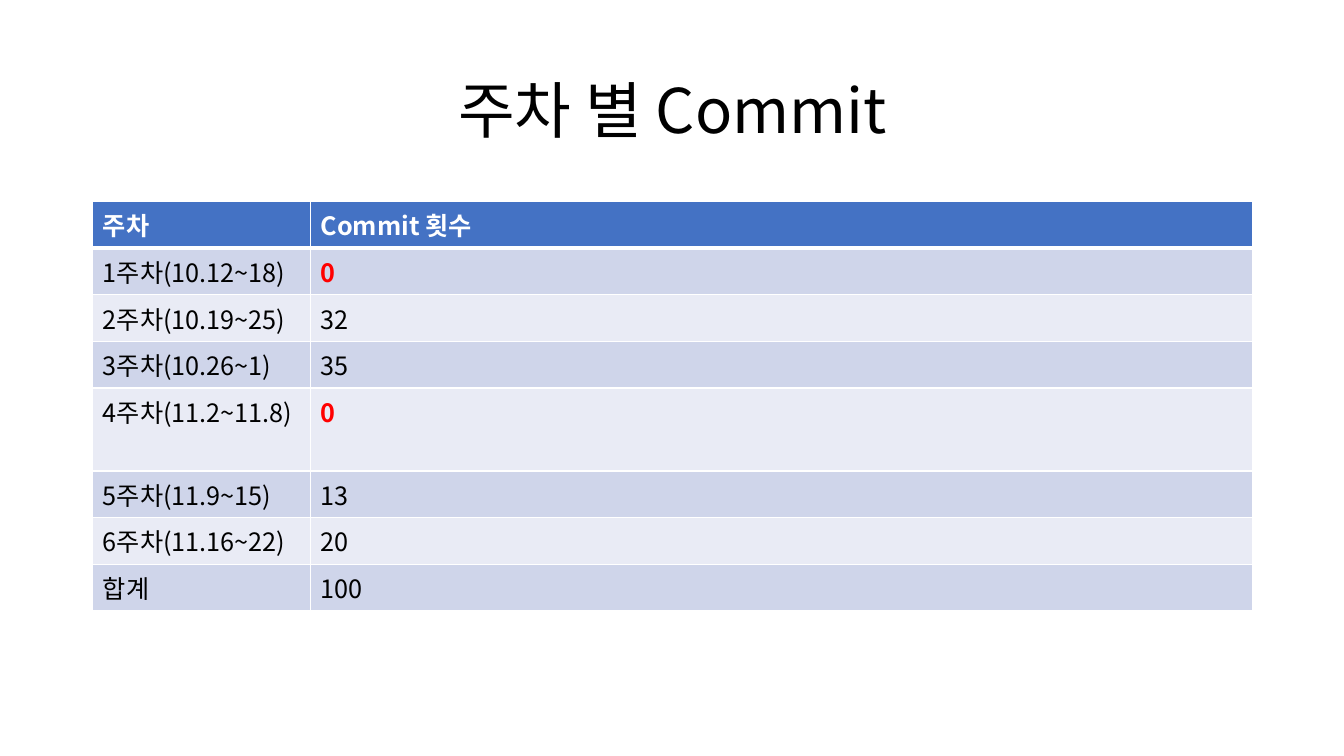
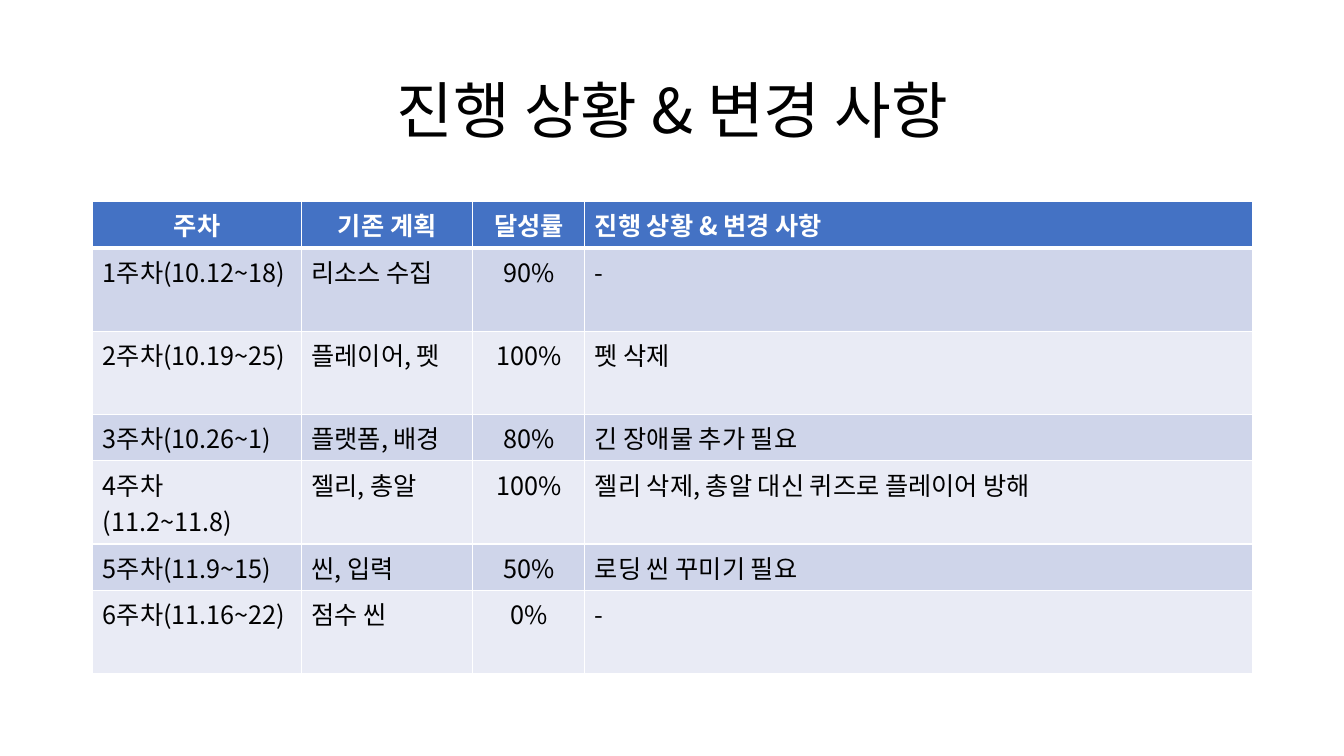
from dataclasses import dataclass

from lxml import etree
from pptx import Presentation
from pptx.dml.color import RGBColor
from pptx.enum import text as t
from pptx.oxml import ns
from pptx.util import Inches, Pt

SIDE, MID = t.PP_ALIGN.LEFT, t.PP_ALIGN.CENTER


@dataclass(frozen=True)
class Theme:
    font: str = "Noto Sans CJK KR"
    ink: str = "000000"
    white: str = "FFFFFF"
    alert: str = "FF0000"
    head: str = "4472C4"
    bands: tuple = ("CFD5EA", "E9EBF5")
    title: int = 44
    body: int = 18
    rule: int = 1
    thick: int = 3


THEME = Theme()
LEFT, WIDTH, TOP, ROW = 0.92, 11.5, 2, 0.41

WEEKS = ["1주차(10.12~18)", "2주차(10.19~25)", "3주차(10.26~1)",
         "4주차(11.2~11.8)", "5주차(11.9~15)", "6주차(11.16~22)"]
COUNTS = ["0", "32", "35", "0", "13", "20"]
PLANS = [
    ("리소스 수집", "90%", "-"),
    ("플레이어, 펫", "100%", "펫 삭제"),
    ("플랫폼, 배경", "80%", "긴 장애물 추가 필요"),
    ("젤리, 총알", "100%", "젤리 삭제, 총알 대신 퀴즈로 플레이어 방해"),
    ("씬, 입력", "50%", "로딩 씬 꾸미기 필요"),
    ("점수 씬", "0%", "-"),
]

SLIDES = [
    {
        "title": "주차 별 Commit",
        "cols": [2.16, 9.34],
        "head": ["주차", "Commit 횟수"],
        "rows": [*zip(WEEKS, COUNTS), ("합계", "100")],
        "head_align": [SIDE, SIDE],
        "align": [SIDE, SIDE],
    },
    {
        "title": "진행 상황 & 변경 사항",
        "cols": [2.07, 1.7, 1.11, 6.62],
        "head": ["주차", "기존 계획", "달성률", "진행 상황 & 변경 사항"],
        "rows": [(week, *plan) for week, plan in zip(WEEKS, PLANS)],
        "head_align": [MID, MID, MID, SIDE],
        "align": [SIDE, SIDE, MID, SIDE],
    },
]


def style(para, size, color, align, bold=False):
    para.alignment = align
    font = para.font
    font.size, font.bold, font.name = Pt(size), bold, THEME.font
    font.color.rgb = RGBColor.from_string(color)
    # East Asian text needs its own typeface entry.
    props = para._p.pPr.find(ns.qn("a:defRPr"))
    etree.SubElement(props, ns.qn("a:ea"), typeface=THEME.font)


def border(cell, top, bottom):
    props = cell._tc.get_or_add_tcPr()
    sides = {"L": THEME.rule, "R": THEME.rule, "T": top, "B": bottom}
    for spot, (side, width) in enumerate(sides.items()):
        line = etree.Element(ns.qn(f"a:ln{side}"), w=str(Pt(width)))
        fill = etree.SubElement(line, ns.qn("a:solidFill"))
        etree.SubElement(fill, ns.qn("a:srgbClr"), val=THEME.white)
        props.insert(spot, line)


def add_title(slide, label):
    title = slide.shapes.title
    title.left, title.top = Inches(LEFT), Inches(0.4)
    title.width, title.height = Inches(WIDTH), Inches(1.45)
    frame = title.text_frame
    frame.text = label
    frame.auto_size = t.MSO_AUTO_SIZE.NONE
    frame.vertical_anchor = t.MSO_ANCHOR.MIDDLE
    para = frame.paragraphs[0]
    para.line_spacing = 0.9
    style(para, THEME.title, THEME.ink, MID)


def add_grid(slide, data):
    rows = [data["head"], *data["rows"]]
    table = slide.shapes.add_table(
        len(rows), len(data["cols"]), Inches(LEFT), Inches(TOP),
        Inches(WIDTH), Inches(ROW * len(rows))).table
    for col, width in zip(table.columns, data["cols"]):
        col.width = Inches(width)
    for r, row in enumerate(rows):
        table.rows[r].height = Inches(ROW)
        head = r == 0
        aligns = data["head_align" if head else "align"]
        for c, (label, align) in enumerate(zip(row, aligns)):
            cell = table.cell(r, c)
            cell.text = label
            zero = label == "0"
            ink = THEME.white if head else THEME.alert if zero else THEME.ink
            style(cell.text_frame.paragraphs[0], THEME.body, ink, align,
                  head or zero)
            cell.fill.solid()
            cell.fill.fore_color.rgb = RGBColor.from_string(
                THEME.head if head else THEME.bands[(r - 1) % 2])
            border(cell, THEME.thick if r == 1 else THEME.rule,
                   THEME.thick if head else THEME.rule)


def main():
    deck = Presentation()
    deck.slide_width, deck.slide_height = Inches(13.33), Inches(7.5)
    for data in SLIDES:
        slide = deck.slides.add_slide(deck.slide_layouts[5])
        add_title(slide, data["title"])
        add_grid(slide, data)
    deck.save("out.pptx")


if __name__ == "__main__":
    main()
